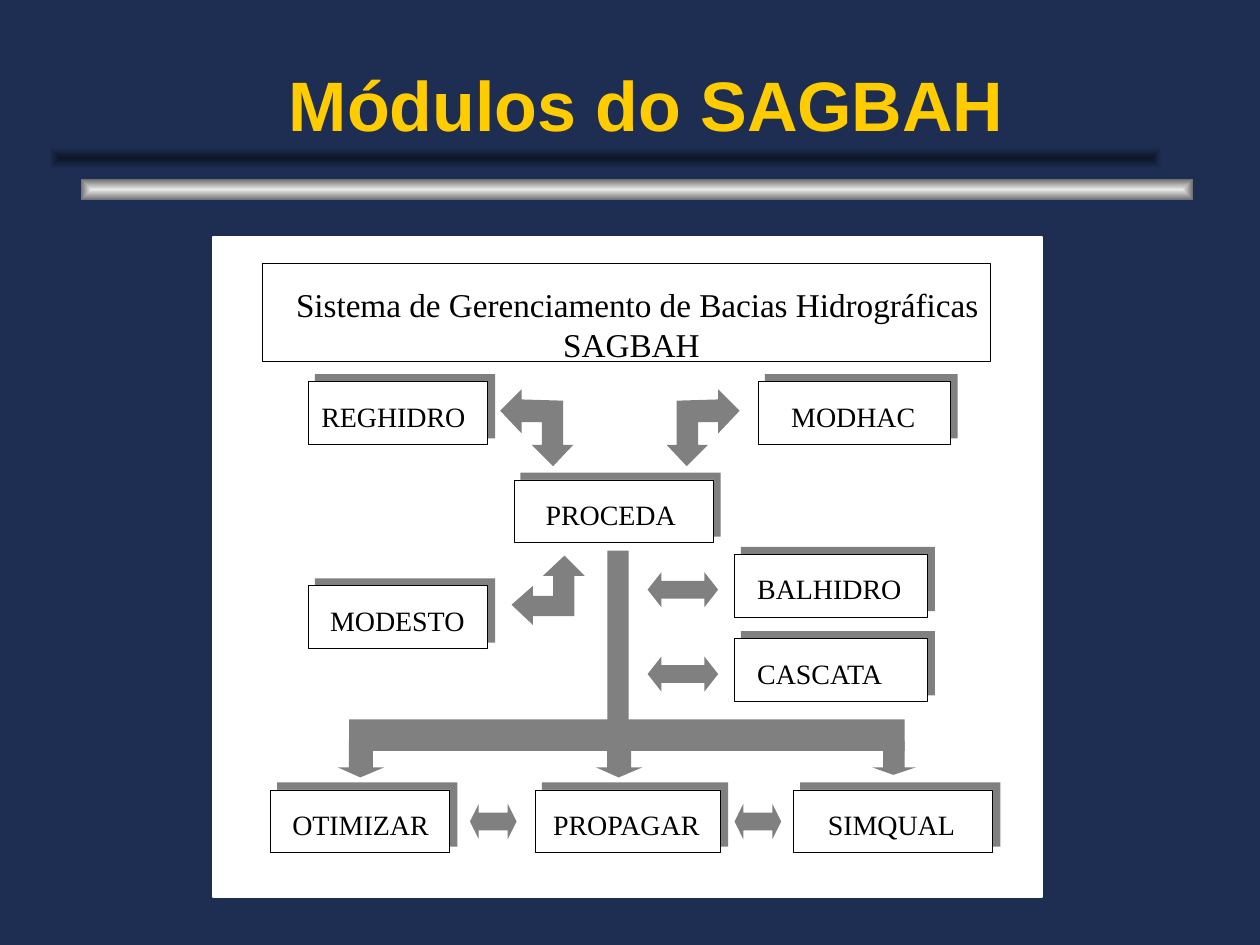
import dataclasses

import pptx
import pptx.dml.color
import pptx.enum.shapes
import pptx.enum.text
import pptx.oxml
import pptx.oxml.ns
import pptx.util

PX = 9144  # EMU in one px, 100 px to the inch


@dataclasses.dataclass(frozen=True)
class Theme:
    navy: str = "1E2E53"
    night: str = "0D1526"
    silver: str = "EAEAEA"
    steel: str = "6B6B6B"
    gold: str = "FFCC00"
    white: str = "FFFFFF"
    black: str = "000000"
    gray: str = "808080"
    title_font: str = "Arial"
    body_font: str = "Times New Roman"
    title_size: int = 40
    system_size: int = 19
    module_size: int = 16


theme = Theme()
rgb = pptx.dml.color.RGBColor.from_string

deck = pptx.Presentation()
deck.slide_width = 1000 * PX
deck.slide_height = 750 * PX
page = deck.slides.add_slide(deck.slide_layouts[6])
page.background.fill.solid()
page.background.fill.fore_color.rgb = rgb(theme.navy)


def add_block(left, top, width, height, fill, line=None, points=0.5):
    block = page.shapes.add_shape(
        pptx.enum.shapes.MSO_SHAPE.RECTANGLE, left * PX, top * PX, width * PX, height * PX)
    block.shadow.inherit = False
    block.fill.solid()
    block.fill.fore_color.rgb = rgb(fill)
    if line:
        block.line.color.rgb = rgb(line)
        block.line.width = pptx.util.Pt(points)
    else:
        block.line.fill.background()
    return block


def add_label(text, left, top, width, height, size, font=theme.body_font, color=theme.black):
    """Add a one-line text box without insets."""
    box = page.shapes.add_textbox(left * PX, top * PX, width * PX, height * PX)
    frame = box.text_frame
    frame.margin_left = frame.margin_right = frame.margin_top = frame.margin_bottom = 0
    frame.word_wrap = True
    frame.text = text
    para = frame.paragraphs[0]
    para.font.name = font
    para.font.size = pptx.util.Pt(size)
    para.font.color.rgb = rgb(color)
    return para


# Diagram panel and system heading
add_block(169, 188, 658, 524, theme.white, theme.white, 1)
add_block(208, 209, 578, 78, theme.white, theme.black)
add_label("Sistema de Gerenciamento de Bacias Hidrográficas", 235, 226, 560, 32, theme.system_size)
add_label("SAGBAH", 447, 257, 130, 32, theme.system_size)

# Modules: name, box left, box top, box width, text left
modules = [
    ("PROCEDA", 408, 381, 158, 433),
    ("MODHAC", 602, 303, 152, 628),
    ("MODESTO", 245, 465, 142, 262),
    ("REGHIDRO", 245, 303, 142, 255),
    ("PROPAGAR", 425, 627, 147, 439),
    ("OTIMIZAR", 215, 627, 142, 232),
    ("SIMQUAL", 630, 627, 158, 657),
    ("BALHIDRO", 583, 440, 153, 601),
    ("CASCATA", 583, 507, 153, 601),
]
for name, left, top, width, text_left in modules:
    add_block(left + 5, top - 6, width + 1, 51, theme.gray)
    add_block(left, top, width, 50, theme.white, theme.black)
    add_label(name, text_left, top + 14, 130, 27, theme.module_size)

# Trunk from PROCEDA and the bar over the bottom row
add_block(482, 437, 17, 137, theme.gray)
add_block(277, 571, 441, 25, theme.gray)

# Elbow arrows; the one to MODHAC mirrors the one to REGHIDRO
reghidro_elbow = [
    (397, 326), (414, 344), (414, 335), (430, 335), (430, 353), (422, 353), (439, 370),
    (455, 353), (447, 353), (447, 318), (414, 317), (414, 309)]
modesto_elbow = [
    (448, 441), (431, 457), (439, 457), (439, 473), (423, 473), (423, 465), (406, 480),
    (423, 496), (423, 489), (456, 489), (456, 457), (464, 457)]
arrows = [reghidro_elbow, [(984 - x, y) for x, y in reghidro_elbow], modesto_elbow]

# Two-way arrows: left, top, width, head length
for left, top, width, head in [(373, 638, 37, 7), (583, 638, 37, 7),
                               (514, 454, 56, 11), (514, 521, 56, 11)]:
    right = left + width
    arrows.append([
        (left, top + 14), (left + head, top + 28), (left + head, top + 21),
        (right - head, top + 21), (right - head, top + 28), (right, top + 14),
        (right - head, top), (right - head, top + 7), (left + head, top + 7), (left + head, top)])

# Down arrows: left, width, tip
for left, width, tip in [(268, 37, 617), (473, 37, 617), (692, 35, 615)]:
    right, neck = left + width, 609
    arrows.append([
        (left, neck), (left + 9, neck), (left + 9, 588), (right - 9, 588),
        (right - 9, neck), (right, neck), (left + width // 2, tip)])

for points in arrows:
    builder = page.shapes.build_freeform(*points[0], scale=PX)
    builder.add_line_segments(points[1:], close=True)
    arrow = builder.convert_to_shape()
    arrow.shadow.inherit = False
    arrow.fill.solid()
    arrow.fill.fore_color.rgb = rgb(theme.gray)
    arrow.line.fill.background()

# Title rules, shaded from the centre to the edges
for left, top, centre, edge in [(64, 142, theme.silver, theme.steel),
                                (39, 117, theme.night, theme.navy)]:
    rule = add_block(left, top, 883, 17, centre)
    solid = rule.element.spPr.find(pptx.oxml.ns.qn("a:solidFill"))
    gradient = pptx.oxml.parse_xml(
        f'<a:gradFill {pptx.oxml.ns.nsdecls("a")} rotWithShape="1"><a:gsLst>'
        f'<a:gs pos="0"><a:srgbClr val="{centre}"/></a:gs>'
        f'<a:gs pos="100000"><a:srgbClr val="{edge}"/></a:gs></a:gsLst>'
        '<a:path path="rect"><a:fillToRect l="50000" t="50000" r="50000" b="50000"/></a:path>'
        '</a:gradFill>')
    solid.getparent().replace(solid, gradient)

title = add_label("Módulos do SAGBAH", 31, 49, 964, 102,
                  theme.title_size, theme.title_font, theme.gold)
title.font.bold = True
title.alignment = pptx.enum.text.PP_ALIGN.CENTER

deck.save("out.pptx")
